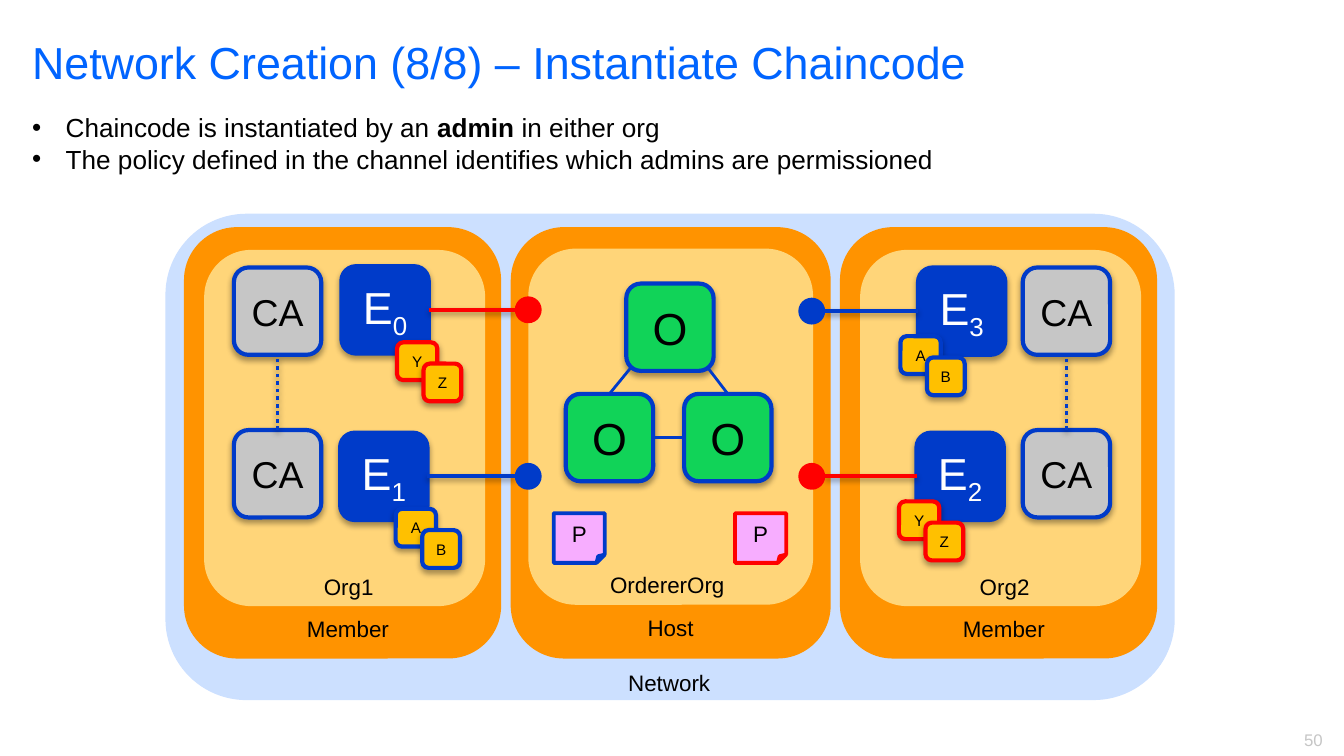
"""Build the slide on instantiating chaincode in a two-organisation network."""
from lxml import etree
from pptx import Presentation
from pptx.dml.color import RGBColor
from pptx.enum.dml import MSO_LINE
from pptx.enum.shapes import MSO_CONNECTOR, MSO_SHAPE
from pptx.enum.text import MSO_ANCHOR, PP_ALIGN
from pptx.oxml.ns import qn
from pptx.util import Pt

ROUNDED, CIRCLE, NOTE = MSO_SHAPE.ROUNDED_RECTANGLE, MSO_SHAPE.OVAL, MSO_SHAPE.FOLDED_CORNER
STRAIGHT, DOTTED = MSO_CONNECTOR.STRAIGHT, MSO_LINE.ROUND_DOT
LEFT, CENTER, RIGHT = PP_ALIGN.LEFT, PP_ALIGN.CENTER, PP_ALIGN.RIGHT
TOP, MIDDLE = MSO_ANCHOR.TOP, MSO_ANCHOR.MIDDLE
TOP_SIDE, LEFT_SIDE, BOTTOM_SIDE, RIGHT_SIDE = range(4)

BLACK = RGBColor(0x00, 0x00, 0x00)
WHITE = RGBColor(0xFF, 0xFF, 0xFF)
TITLE_BLUE = RGBColor(0x00, 0x64, 0xFF)
BLUE = RGBColor(0x00, 0x3B, 0xC9)
RED = RGBColor(0xFF, 0x00, 0x00)
PALE_BLUE = RGBColor(0xCC, 0xE0, 0xFF)
ORANGE = RGBColor(0xFF, 0x93, 0x00)
SAND = RGBColor(0xFF, 0xD5, 0x79)
GRAY = RGBColor(0xC6, 0xC6, 0xC6)
GREEN = RGBColor(0x11, 0xD3, 0x58)
AMBER = RGBColor(0xFF, 0xC0, 0x00)
PINK = RGBColor(0xF7, 0xAD, 0xFF)

NODE = 46.8
DOT = 14.4
COLUMN_STEP = 351.4


def write(frame, *paragraphs, size=12, color=BLACK, align=CENTER, anchor=TOP,
          font="Arial", bullet=None):
    """Fill a frame with paragraphs, each a list of (text, style) spans."""
    frame.word_wrap = True
    frame.vertical_anchor = anchor
    for index, spans in enumerate(paragraphs):
        para = frame.add_paragraph() if index else frame.paragraphs[0]
        para.alignment = align
        if bullet:
            properties = para._p.get_or_add_pPr()
            properties.set("marL", str(Pt(18)))
            properties.set("indent", str(-Pt(18)))
            etree.SubElement(properties, qn("a:buFont"), typeface=font)
            etree.SubElement(properties, qn("a:buChar"), char=bullet)
        for text, style in spans:
            span = para.add_run()
            span.text = text
            span.font.name, span.font.size = font, Pt(size)
            span.font.color.rgb = color
            span.font.bold = style == "bold"
            if style == "subscript":
                span._r.get_or_add_rPr().set("baseline", "-25000")


class Diagram:
    """Hold the slide and draw its elements in one style."""

    def __init__(self, page):
        self.shapes = page.shapes

    def shade(self, effects, blur, distance, alpha):
        """Add a soft downward shadow to an effect list."""
        shadow = etree.SubElement(effects, qn("a:outerShdw"), blurRad=str(Pt(blur)),
                                  dist=str(Pt(distance)), dir="5400000", rotWithShape="0")
        tint = etree.SubElement(shadow, qn("a:srgbClr"), val="000000")
        etree.SubElement(tint, qn("a:alpha"), val=str(alpha * 1000))

    def label(self, left, top, width, height, *paragraphs, inset=3.6, **style):
        """Add a text box."""
        box = self.shapes.add_textbox(Pt(left), Pt(top), Pt(width), Pt(height))
        box.text_frame.margin_top = Pt(inset)
        write(box.text_frame, *paragraphs, **style)

    def block(self, kind, left, top, width, height, fill, edge=None, weight=2.25):
        """Add a filled shape, outlined when an edge colour is given."""
        box = self.shapes.add_shape(kind, Pt(left), Pt(top), Pt(width), Pt(height))
        box.shadow.inherit = False
        box.fill.solid()
        box.fill.fore_color.rgb = fill
        if edge is None:
            box.line.fill.background()
        else:
            box.line.color.rgb = edge
            box.line.width = Pt(weight)
        return box

    def node(self, left, top, text, fill, edge=BLUE, width=NODE, height=NODE,
             subscript="", **style):
        """Add a raised rounded square with centred text."""
        box = self.block(ROUNDED, left, top, width, height, fill, edge)
        self.shade(box._element.spPr.find(qn("a:effectLst")), 3.1, 1.8, 35)
        frame = box.text_frame
        frame.margin_left = frame.margin_right = frame.margin_top = frame.margin_bottom = 0
        spans = [(text, "")] + ([(subscript, "subscript")] if subscript else [])
        write(frame, spans, anchor=MIDDLE, **style)
        return box

    def link(self, start=(0, 0), end=(0, 0), source=None, target=None, color=BLUE,
             weight=2.0, dash=None, shadow=True):
        """Join two points or (box, side) pairs with a line."""
        line = self.shapes.add_connector(STRAIGHT, *(Pt(value) for value in (*start, *end)))
        if source:
            line.begin_connect(*source)
        if target:
            line.end_connect(*target)
        line.line.color.rgb = color
        line.line.width = Pt(weight)
        if dash:
            line.line.dash_style = dash
        effects = etree.SubElement(line._element.spPr, qn("a:effectLst"))
        if shadow:
            self.shade(effects, 3.1, 1.6, 38)

    def authorities(self, left):
        """Add two certificate authorities joined by a dotted line."""
        upper, lower = [self.node(left, top, "CA", GRAY, size=20) for top in (143.3, 230.4)]
        self.link(source=(lower, TOP_SIDE), target=(upper, BOTTOM_SIDE), dash=DOTTED)

    def peer(self, left, top, number, chips, color, on_left):
        """Add a peer with its two chaincodes and its channel link."""
        peer = self.node(left, top, "E", BLUE, subscript=number, size=24, color=WHITE)
        dot_left, dot_top = 275.8 if on_left else 427.7, top + (NODE - DOT) / 2
        end = dot_left if on_left else dot_left + DOT
        self.link(end=(end, dot_top + DOT / 2), color=color,
                  source=(peer, RIGHT_SIDE if on_left else LEFT_SIDE))
        self.block(CIRCLE, dot_left, dot_top, DOT, DOT, color)
        x, y = (left + 29.8, top + 40.8) if on_left else (left - 9.4, top + 36.8)
        for step, (text, width) in enumerate(zip(chips, (21.6, 20.2))):
            self.node(x + 14.2 * step, y + 11.4 * step, text, AMBER, color, width, 20.2, size=8.2)

    def orderers(self):
        """Add the triangle of ordering nodes."""
        first, top, last = [self.node(left, y, "O", GREEN, size=24)
                            for left, y in ((303.1, 211), (335.5, 151.9), (366.5, 211))]
        style = {"weight": 1.5, "shadow": False}
        self.link(source=(first, RIGHT_SIDE), target=(last, LEFT_SIDE), **style)
        self.link((337.7, 197.3), target=(first, TOP_SIDE), **style)
        self.link((379.4, 197.3), target=(last, TOP_SIDE), **style)


def main():
    """Build and save the deck."""
    deck = Presentation()
    deck.slide_width, deck.slide_height = Pt(720), Pt(405)
    diagram = Diagram(deck.slides.add_slide(deck.slide_layouts[6]))

    diagram.label(673.9, 387.4, 41.8, 18, [("50", "")], size=9, color=GRAY, align=RIGHT)
    diagram.label(10.1, 3.6, 612, 79.9, [("Network Creation (8/8) – Instantiate Chaincode", "")],
                  inset=15, size=24, color=TITLE_BLUE, align=LEFT)
    diagram.label(
        10.1, 56.2, 538.6, 41,
        [("Chaincode is instantiated by an ", ""), ("admin", "bold"), (" in either org", "")],
        [("The policy defined in the channel identifies which admins are permissioned", "")],
        size=14, align=LEFT, bullet="•")

    diagram.block(ROUNDED, 88.6, 114.5, 540.7, 260.6, PALE_BLUE)
    diagram.block(ROUNDED, 273.6, 121.7, 171.4, 231.1, ORANGE)
    diagram.block(ROUNDED, 283, 133.2, 152.6, 190.8, SAND)
    diagram.label(298.1, 302.4, 118.8, 21.6, [("OrdererOrg", "")])
    diagram.label(270.7, 325.4, 177.1, 21.6, [("Host", "")])
    diagram.label(270, 355, 177.1, 21.6, [("Network", "")])
    for column, name in enumerate(("Org1", "Org2")):
        shift = column * COLUMN_STEP
        diagram.block(ROUNDED, 98.6 + shift, 121.7, 169.9, 231.1, ORANGE)
        diagram.block(ROUNDED, 109.4 + shift, 133.9, 150.5, 190.8, SAND)
        diagram.label(127.4 + shift, 303.8, 118.8, 21.6, [(name, "")])
        diagram.label(97.9 + shift, 326.2, 177.1, 21.6, [("Member", "")])

    diagram.authorities(125.3)
    diagram.authorities(547.9)
    diagram.orderers()
    for left, top, number, chips, color, on_left in (
            (182.9, 142.6, "0", "YZ", RED, True), (182.2, 231.8, "1", "AB", BLUE, True),
            (491, 231.8, "2", "YZ", RED, False), (491.8, 143.3, "3", "AB", BLUE, False)):
        diagram.peer(left, top, number, chips, color, on_left)
    for left, color in ((296.6, BLUE), (393.8, RED)):
        policy = diagram.block(NOTE, left, 275, 27.4, 26.6, PINK, color, 2)
        write(policy.text_frame, [("P", "")], anchor=MIDDLE)

    deck.save("out.pptx")


if __name__ == "__main__":
    main()
